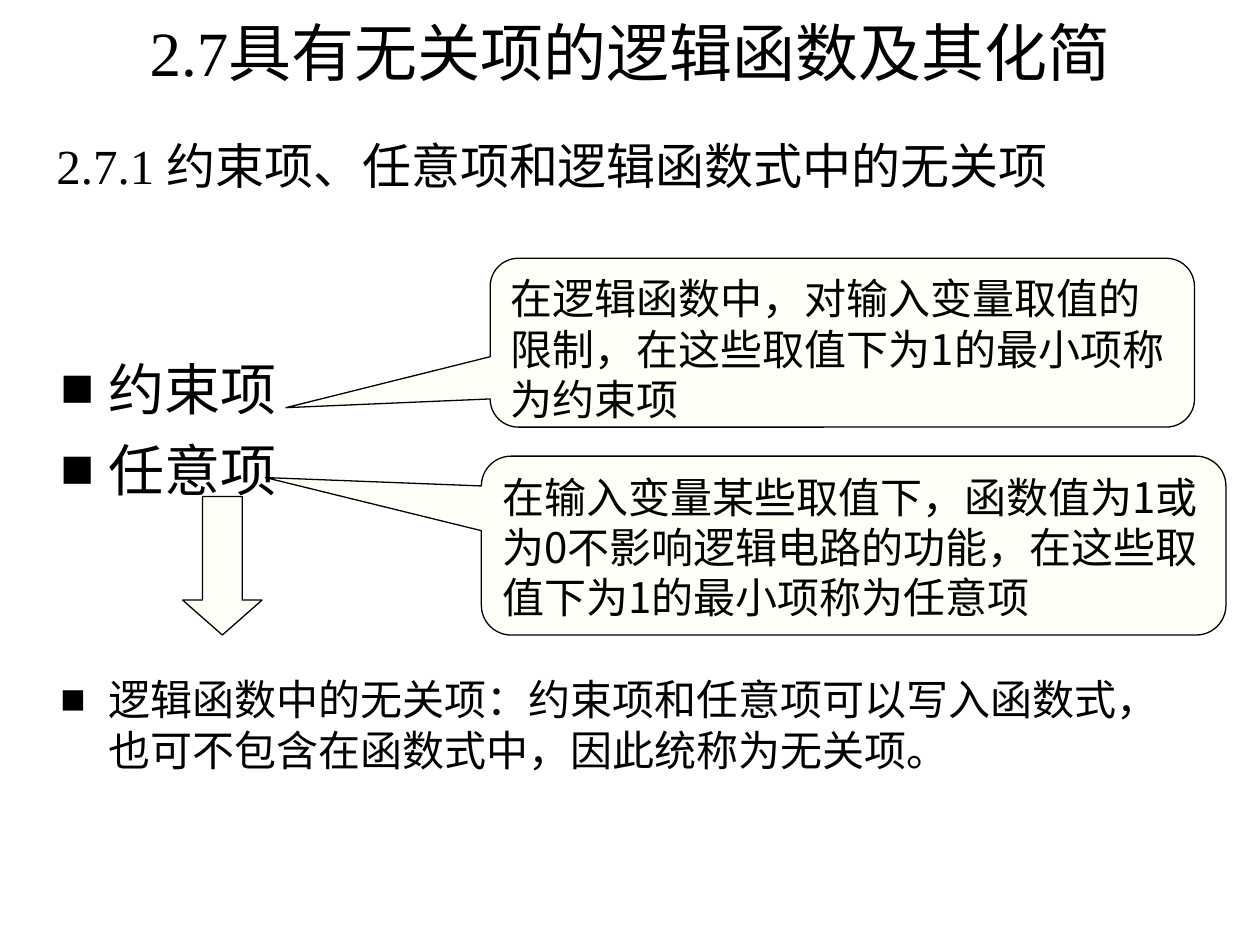
from lxml import etree
from pptx import Presentation
from pptx.dml.color import RGBColor
from pptx.enum.shapes import MSO_SHAPE
from pptx.enum.text import MSO_ANCHOR, MSO_AUTO_SIZE, PP_ALIGN
from pptx.oxml.ns import qn
from pptx.util import Inches, Pt

CALLOUT = MSO_SHAPE.ROUNDED_RECTANGULAR_CALLOUT
DOWN_ARROW = MSO_SHAPE.DOWN_ARROW
TOP, MIDDLE = MSO_ANCHOR.TOP, MSO_ANCHOR.MIDDLE
LEFT, CENTER = PP_ALIGN.LEFT, PP_ALIGN.CENTER
NO_AUTOFIT = MSO_AUTO_SIZE.NONE

SANS, SERIF = "Noto Sans CJK SC", "Times New Roman"
INK, IVORY = "000000", "FFFFF7"


def color(hex_string):
    return RGBColor.from_string(hex_string)


def place(shape, box):
    shape.left, shape.top, shape.width, shape.height = map(Inches, box)


def prepare_frame(shape, anchor):
    frame = shape.text_frame
    frame.word_wrap = True
    frame.auto_size = NO_AUTOFIT
    frame.vertical_anchor = anchor
    frame.margin_left = frame.margin_right = Inches(0.1)
    frame.margin_top = frame.margin_bottom = Inches(0.05)
    return frame


def add_run(paragraph, text, size, latin=SANS):
    run = paragraph.add_run()
    run.text = text
    run.font.size = Pt(size)
    run.font.name = latin
    run.font.color.rgb = color(INK)
    east_asian = etree.SubElement(run.font._element, qn("a:ea"))
    east_asian.set("typeface", SANS)


def set_bullet(paragraph, indent):
    props = paragraph._p.get_or_add_pPr()
    props.set("marL", str(indent))
    props.set("indent", str(-indent))
    bullet_color = etree.SubElement(props, qn("a:buClr"))
    etree.SubElement(bullet_color, qn("a:srgbClr")).set("val", INK)
    etree.SubElement(props, qn("a:buFont")).set("typeface", SERIF)
    etree.SubElement(props, qn("a:buChar")).set("char", "■")


def fill_heading(shape, box, text, size, alignment):
    place(shape, box)
    heading = prepare_frame(shape, MIDDLE).paragraphs[0]
    heading.alignment = alignment
    add_run(heading, text, size, SERIF)


def fill_terms(body, box, terms):
    """Fill the bullet list with (text, size, space before) entries."""
    place(body, box)
    frame = prepare_frame(body, TOP)
    for index, (text, size, space_before) in enumerate(terms):
        term = frame.add_paragraph() if index else frame.paragraphs[0]
        term.space_before = Pt(space_before)
        set_bullet(term, Inches(0.38))
        add_run(term, text, size)


def add_ivory_shape(slide, kind, box, adjustments):
    shape = slide.shapes.add_shape(kind, *map(Inches, box))
    shape.shadow.inherit = False
    shape.fill.solid()
    shape.fill.fore_color.rgb = color(IVORY)
    shape.line.color.rgb = color(INK)
    shape.line.width = Pt(0.75)
    for index, value in enumerate(adjustments):
        shape.adjustments[index] = value
    return shape


def add_definition(slide, box, pointer, text):
    callout = add_ivory_shape(slide, CALLOUT, box, (*pointer, 0.167))
    definition = prepare_frame(callout, TOP).paragraphs[0]
    definition.alignment = LEFT
    add_run(definition, text, 24)


def main():
    deck = Presentation()
    deck.slide_width, deck.slide_height = Inches(10), Inches(7.5)
    slide = deck.slides.add_slide(deck.slide_layouts[1])

    fill_heading(slide.shapes.title, (0.5, 0.01, 9, 0.79),
                 "2.7具有无关项的逻辑函数及其化简", 36, CENTER)
    fill_terms(slide.placeholders[1], (0.38, 2.76, 8.9, 4.69), [
        ("约束项", 32, 8),
        ("任意项", 32, 8),
        ("逻辑函数中的无关项：约束项和任意项可以写入函数式，"
         "也可不包含在函数式中，因此统称为无关项。", 24, 98),
    ])
    add_definition(slide, (3.89, 2.05, 5.59, 1.34), (-0.79, 0.385),
                   "在逻辑函数中，对输入变量取值的限制，"
                   "在这些取值下为1的最小项称为约束项")
    add_definition(slide, (3.82, 3.62, 5.91, 1.42), (-0.79, -0.38),
                   "在输入变量某些取值下，函数值为1或为0不影响逻辑电路的功能，"
                   "在这些取值下为1的最小项称为任意项")
    add_ivory_shape(slide, DOWN_ARROW, (1.45, 3.94, 0.63, 1.1), (0.5, 0.44))

    section_box = (0.35, 1.03, 9.37, 0.56)
    section = slide.shapes.add_textbox(*map(Inches, section_box))
    fill_heading(section, section_box,
                 "2.7.1 约束项、任意项和逻辑函数式中的无关项", 28, LEFT)

    deck.save("out.pptx")


if __name__ == "__main__":
    main()
